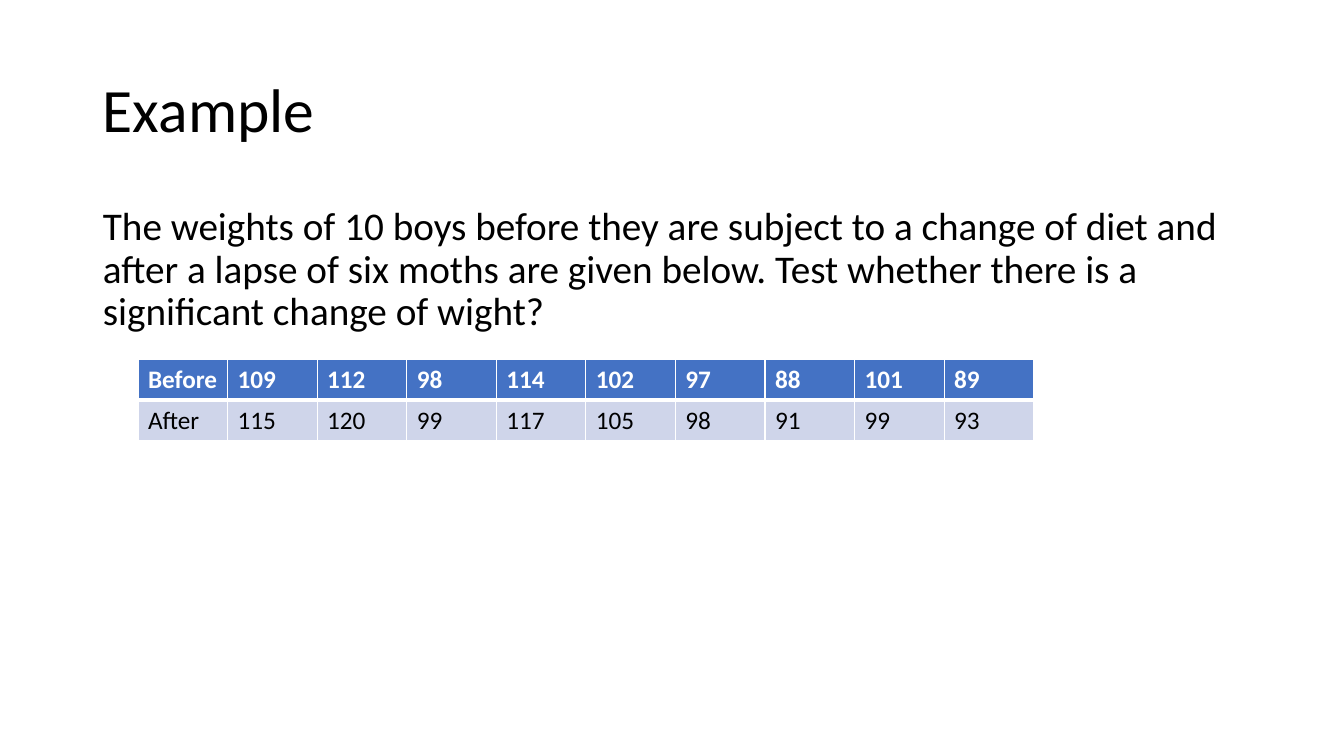
"""Build the paired weights example slide."""
import pptx
import pptx.util
import pptx.enum.text
import pptx.dml.color
import pptx.oxml
import pptx.oxml.ns

TITLE = "Example"
TASK = ("The weights of 10 boys before they are subject to a change of diet "
        "and after a lapse of six moths are given below. Test whether there "
        "is a significant change of wight?")
BEFORE = [109, 112, 98, 114, 102, 97, 88, 101, 89]
AFTER = [115, 120, 99, 117, 105, 98, 91, 99, 93]
ROWS = [["Before", *BEFORE], ["After", *AFTER]]
HUES = {"ink": "000000", "white": "FFFFFF", "head": "4472C4", "band": "CFD5EA"}
STYLES = [dict(fill="head", hue="white", bold=True, top=1, base=3),
          dict(fill="band", hue="ink", bold=False, top=3, base=1)]
FONT = "Calibri"
SCALE = 914400 / 100.8
WIDE, HIGH = 1344, 756
LEFT, SPAN = 93, 1159
GRID = dict(left=138, top=359, wide=896, row=41)


def px(size):
    """Turn pixels into EMU."""
    return pptx.util.Emu(round(size * SCALE))


def color(name):
    """Look up a named colour."""
    return pptx.dml.color.RGBColor.from_string(HUES[name])


def write(frame, text, size=18, hue="ink", bold=False, line=None, before=None):
    """Put formatted text in a frame."""
    par = frame.paragraphs[0]
    par.line_spacing = line
    if before is not None:
        par.space_before = pptx.util.Pt(before)
    run = par.add_run()
    run.text = str(text)
    run.font.name = FONT
    run.font.size = pptx.util.Pt(size)
    run.font.bold = bold
    run.font.color.rgb = color(hue)


def block(slide, text, top, high, anchor, **form):
    """Add a full-width text box."""
    box = slide.shapes.add_textbox(px(LEFT), px(top), px(SPAN), px(high))
    frame = box.text_frame
    frame.word_wrap = True
    frame.vertical_anchor = anchor
    write(frame, text, line=0.9, **form)


def border(cell, top, base):
    """Draw white cell edges with widths in points."""
    props = cell._tc.get_or_add_tcPr()
    for side, width in zip("LRTB", (1, 1, top, base)):
        props.append(pptx.oxml.parse_xml(
            f'<a:ln{side} {pptx.oxml.ns.nsdecls("a")} w="{pptx.util.Pt(width)}">'
            f'<a:solidFill><a:srgbClr val="{HUES["white"]}"/></a:solidFill>'
            f'</a:ln{side}>'))


def grid(slide):
    """Add the table of weights."""
    count = len(ROWS[0])
    table = slide.shapes.add_table(
        len(ROWS), count, px(GRID["left"]), px(GRID["top"]),
        px(GRID["wide"]), px(GRID["row"] * len(ROWS))).table
    for col in table.columns:
        col.width = px(GRID["wide"] / count)
    for r, (row, style) in enumerate(zip(ROWS, STYLES)):
        table.rows[r].height = px(GRID["row"])
        for c, text in enumerate(row):
            cell = table.cell(r, c)
            border(cell, style["top"], style["base"])
            cell.fill.solid()
            cell.fill.fore_color.rgb = color(style["fill"])
            write(cell.text_frame, text, hue=style["hue"], bold=style["bold"])


deck = pptx.Presentation()
deck.slide_width, deck.slide_height = px(WIDE), px(HIGH)
slide = deck.slides.add_slide(deck.slide_layouts[6])
anchors = pptx.enum.text.MSO_ANCHOR
block(slide, TITLE, 40, 146, anchors.MIDDLE, size=44)
block(slide, TASK, 202, 480, anchors.TOP, size=28, before=10)
grid(slide)
deck.save("out.pptx")
